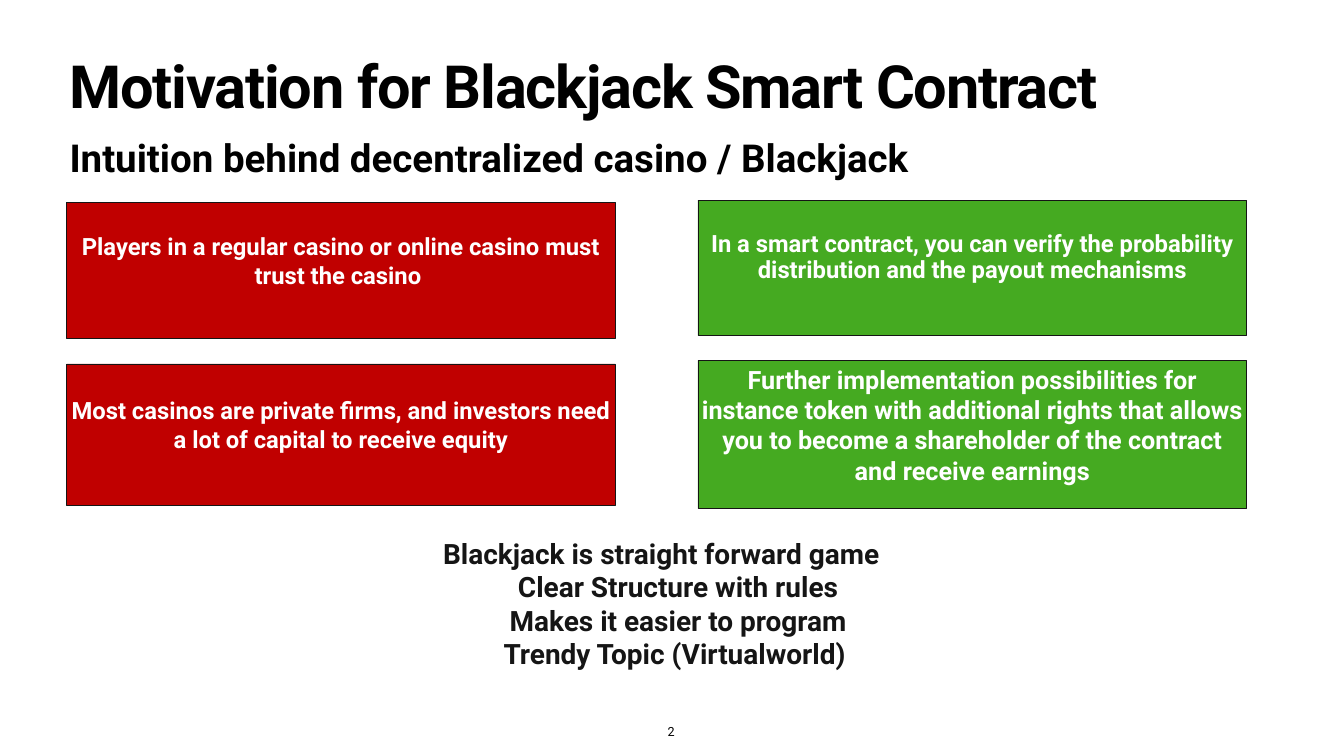
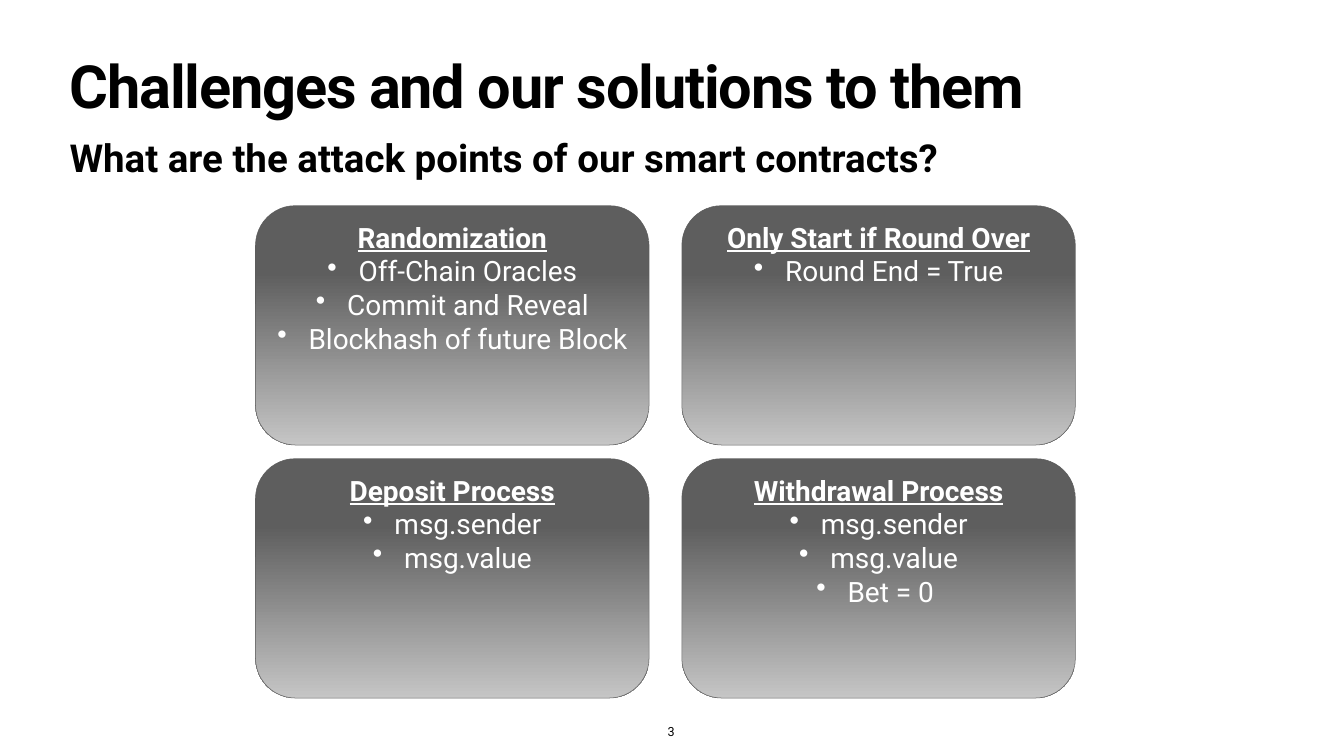
from dataclasses import dataclass

from lxml import etree
from pptx import Presentation
from pptx.dml.color import RGBColor
from pptx.enum.shapes import MSO_SHAPE
from pptx.enum.text import MSO_ANCHOR, PP_ALIGN
from pptx.oxml.ns import qn
from pptx.shapes.autoshape import Shape
from pptx.slide import Slide
from pptx.util import Emu, Pt

RECTANGLE = MSO_SHAPE.RECTANGLE
ROUNDED = MSO_SHAPE.ROUNDED_RECTANGLE
TOP, MIDDLE, BOTTOM = MSO_ANCHOR.TOP, MSO_ANCHOR.MIDDLE, MSO_ANCHOR.BOTTOM
LEFT, CENTER = PP_ALIGN.LEFT, PP_ALIGN.CENTER
EMU_PER_PX = 9144


@dataclass(frozen=True)
class Theme:
    font: str = "Roboto"
    black: str = "000000"
    ink: str = "151515"
    white: str = "FFFFFF"
    problem: str = "C00000"
    solution: str = "45AA21"
    card_line: str = "5C5C5C"
    card_stops: tuple[tuple[float, str], ...] = ((0.28, "5E5E5E"), (1.0, "C5C5C5"))
    title_size: int = 85
    subtitle_size: int = 55
    body_size: int = 40
    number_size: int = 18
    title_tracking: int = -170
    inset: int = 6


@dataclass(frozen=True)
class Box:
    left: int
    top: int
    width: int
    height: int


@dataclass(frozen=True)
class Statement:
    box: Box
    fill: str
    text: str
    size: int = 34
    line_spacing: float = 1.0


@dataclass(frozen=True)
class Card:
    heading: str
    points: tuple[str, ...]


THEME = Theme()
SLIDE_WIDTH, SLIDE_HEIGHT = 2667, 1500
TITLE_BOX = Box(132, 118, 2403, 157)
SUBTITLE_BOX = Box(132, 260, 2403, 102)
NUMBER_BOX = Box(1312, 1431, 40, 41)
SUMMARY_BOX = Box(551, 1068, 1522, 304)
SUMMARY_INDENT = 67
BULLET_INDENT = 62
STATEMENT_LIFT = 39
SUMMARY_LIFT = 46
PROBLEM_LEFT, SOLUTION_LEFT, STATEMENT_WIDTH = 132, 1385, 1089
CARD_LEFT, CARD_TOP, CARD_WIDTH, CARD_HEIGHT = 507, 408, 781, 475
CARD_STEP_X, CARD_STEP_Y, CARD_COLUMNS = 846, 502, 2

STATEMENTS = (
    Statement(
        Box(PROBLEM_LEFT, 402, STATEMENT_WIDTH, 269),
        THEME.problem,
        "Players in a regular casino or online casino must trust the casino ",
    ),
    Statement(
        Box(SOLUTION_LEFT, 397, STATEMENT_WIDTH, 269),
        THEME.solution,
        "In a smart contract, you can verify the probability distribution "
        "and the payout mechanisms",
        line_spacing=0.9,
    ),
    Statement(
        Box(SOLUTION_LEFT, 715, STATEMENT_WIDTH, 294),
        THEME.solution,
        "Further implementation possibilities for instance token with additional "
        "rights that allows you to become a shareholder of the contract "
        "and receive earnings",
        size=36,
    ),
    Statement(
        Box(PROBLEM_LEFT, 722, STATEMENT_WIDTH, 280),
        THEME.problem,
        "Most casinos are private firms, and investors need a lot of capital "
        "to receive equity",
    ),
)
SUMMARY = (
    "Blackjack is straight forward game",
    "Clear Structure with rules",
    "Makes it easier to program",
    "Trendy Topic (Virtualworld) ",
)
CARDS = (
    Card(
        "Randomization",
        ("Off-Chain Oracles", "Commit and Reveal", "Blockhash of future Block"),
    ),
    Card("Only Start if Round Over", ("Round End = True",)),
    Card("Deposit Process", ("msg.sender", "msg.value")),
    Card("Withdrawal Process", ("msg.sender", "msg.value", "Bet = 0 ")),
)


def px(length: int) -> Emu:
    return Emu(length * EMU_PER_PX)


def color(value: str) -> RGBColor:
    return RGBColor.from_string(value)


def place(box: Box) -> tuple[Emu, Emu, Emu, Emu]:
    return px(box.left), px(box.top), px(box.width), px(box.height)


def set_frame(
    shape: Shape, *, anchor: MSO_ANCHOR = TOP, wrap: bool = True, lift: int = 0
) -> None:
    frame = shape.text_frame
    frame.word_wrap = wrap
    frame.vertical_anchor = anchor
    frame.margin_left = frame.margin_right = frame.margin_top = px(THEME.inset)
    frame.margin_bottom = px(THEME.inset + lift)


def write(
    shape: Shape,
    text: str,
    *,
    size: int,
    fill: str,
    bold: bool = False,
    underline: bool = False,
    align: PP_ALIGN = CENTER,
    line_spacing: float = 1.0,
    tracking: int = 0,
    indent: int = 0,
    bullet: str = "",
) -> None:
    frame = shape.text_frame
    paragraph = frame.paragraphs[0]
    if paragraph.runs:
        paragraph = frame.add_paragraph()
    paragraph.alignment = align
    paragraph.line_spacing = line_spacing
    run = paragraph.add_run()
    run.text = text
    font = run.font
    font.name = THEME.font
    font.size = Pt(size)
    font.bold = bold
    font.underline = underline
    font.color.rgb = color(fill)
    if tracking:
        run._r.get_or_add_rPr().set("spc", str(tracking))
    if indent:
        properties = paragraph._p.get_or_add_pPr()
        properties.set("marL", str(px(indent)))
        properties.set("indent", str(-px(indent) if bullet else 0))
        if bullet:
            etree.SubElement(properties, qn("a:buChar")).set("char", bullet)


def add_text_box(
    slide: Slide, box: Box, *, anchor: MSO_ANCHOR = TOP, wrap: bool = True, lift: int = 0
) -> Shape:
    shape = slide.shapes.add_textbox(*place(box))
    set_frame(shape, anchor=anchor, wrap=wrap, lift=lift)
    return shape


def add_panel(
    slide: Slide, kind: MSO_SHAPE, box: Box, line: str, line_width: float
) -> Shape:
    shape = slide.shapes.add_shape(kind, *place(box))
    shape.shadow.inherit = False
    shape.line.color.rgb = color(line)
    shape.line.width = Pt(line_width)
    return shape


def add_base_slide(
    presentation: Presentation, number: int, title: str, subtitle: str
) -> Slide:
    slide = presentation.slides.add_slide(presentation.slide_layouts[6])
    write(
        add_text_box(slide, TITLE_BOX),
        title,
        size=THEME.title_size,
        fill=THEME.black,
        bold=True,
        align=LEFT,
        line_spacing=0.8,
        tracking=THEME.title_tracking,
    )
    write(
        add_text_box(slide, SUBTITLE_BOX),
        subtitle,
        size=THEME.subtitle_size,
        fill=THEME.black,
        bold=True,
        align=LEFT,
    )
    write(
        add_text_box(slide, NUMBER_BOX, anchor=BOTTOM, wrap=False),
        str(number),
        size=THEME.number_size,
        fill=THEME.black,
    )
    return slide


def add_statement(slide: Slide, statement: Statement) -> None:
    shape = add_panel(slide, RECTANGLE, statement.box, THEME.ink, 1)
    shape.fill.solid()
    shape.fill.fore_color.rgb = color(statement.fill)
    set_frame(shape, anchor=MIDDLE, lift=STATEMENT_LIFT)
    write(
        shape,
        statement.text,
        size=statement.size,
        fill=THEME.white,
        bold=True,
        line_spacing=statement.line_spacing,
    )


def add_summary(slide: Slide) -> None:
    shape = add_text_box(slide, SUMMARY_BOX, anchor=MIDDLE, lift=SUMMARY_LIFT)
    for index, text in enumerate(SUMMARY):
        write(
            shape,
            text,
            size=THEME.body_size,
            fill=THEME.ink,
            bold=True,
            indent=SUMMARY_INDENT if index else 0,
        )


def add_card(slide: Slide, card: Card, index: int) -> None:
    row, column = divmod(index, CARD_COLUMNS)
    box = Box(
        CARD_LEFT + column * CARD_STEP_X,
        CARD_TOP + row * CARD_STEP_Y,
        CARD_WIDTH,
        CARD_HEIGHT,
    )
    shape = add_panel(slide, ROUNDED, box, THEME.card_line, 0.75)
    shape.fill.gradient()
    shape.fill.gradient_angle = 270
    for stop, (position, value) in zip(shape.fill.gradient_stops, THEME.card_stops):
        stop.position = position
        stop.color.rgb = color(value)
    set_frame(shape)
    style = {"size": THEME.body_size, "fill": THEME.white}
    write(shape, card.heading, bold=True, underline=True, **style)
    for point in card.points:
        write(shape, point, indent=BULLET_INDENT, bullet="•", **style)


def main() -> None:
    presentation = Presentation()
    presentation.slide_width = px(SLIDE_WIDTH)
    presentation.slide_height = px(SLIDE_HEIGHT)

    motivation = add_base_slide(
        presentation,
        2,
        "Motivation for Blackjack Smart Contract",
        "Intuition behind decentralized casino / Blackjack",
    )
    for statement in STATEMENTS:
        add_statement(motivation, statement)
    add_summary(motivation)

    challenges = add_base_slide(
        presentation,
        3,
        "Challenges and our solutions to them",
        "What are the attack points of our smart contracts?",
    )
    for index, card in enumerate(CARDS):
        add_card(challenges, card, index)

    presentation.save("out.pptx")


if __name__ == "__main__":
    main()
